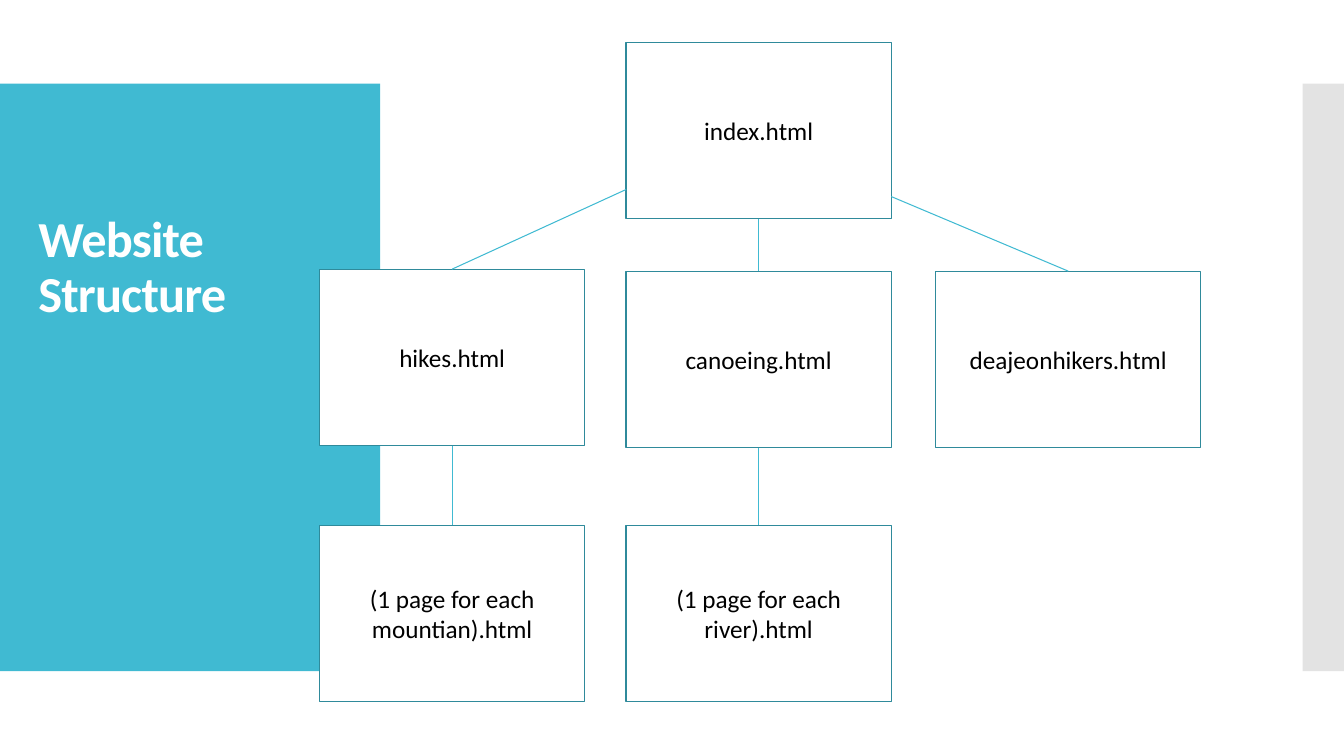
from dataclasses import dataclass

from lxml import etree
from pptx import Presentation
from pptx.dml.color import RGBColor
from pptx.enum import shapes, text
from pptx.oxml import ns
from pptx.util import Inches, Pt


@dataclass(frozen=True)
class Theme:
    font: str = "Calibri"
    accent: str = "40BAD2"
    outline: str = "2F8A9B"
    grey: str = "C8C8C8"
    white: str = "FFFFFF"
    black: str = "000000"
    title_size: float = 36
    label_size: float = 18
    outline_width: float = 0.85
    link_width: float = 0.75


THEME = Theme()
BOX_WIDTH, BOX_HEIGHT = 2.63, 1.75
TOP, BOTTOM = 0, 2
PAGES = {
    "index": ("index.html", 6.21, 0.42),
    "canoeing": ("canoeing.html", 6.21, 2.69),
    "hikes": ("hikes.html", 3.17, 2.67),
    "hikers": ("deajeonhikers.html", 9.28, 2.69),
    "mountain": ("(1 page for each mountian).html", 3.17, 5.21),
    "river": ("(1 page for each river).html", 6.21, 5.21),
}
VERTICAL_LINKS = [("index", "canoeing"), ("hikes", "mountain"), ("canoeing", "river")]
SIDE_LINKS = [("hikes", 6.21, 1.88), ("hikers", 8.84, 1.95)]


def apply(target, values):
    for name, value in values.items():
        setattr(target, name, value)


def format_font(font, size, color, bold=False):
    apply(font, {"name": THEME.font, "size": Pt(size), "bold": bold})
    font.color.rgb = RGBColor.from_string(color)


def add_rectangle(slide, left, top, width, height, fill):
    shape = slide.shapes.add_shape(
        shapes.MSO_SHAPE.RECTANGLE, Inches(left), Inches(top), Inches(width), Inches(height)
    )
    shape.shadow.inherit = False
    shape.fill.solid()
    shape.fill.fore_color.rgb = RGBColor.from_string(fill)
    shape.line.fill.background()
    return shape


def set_opacity(shape, percent):
    color = shape.element.spPr.find(ns.qn("a:solidFill")).find(ns.qn("a:srgbClr"))
    etree.SubElement(color, ns.qn("a:alpha")).set("val", str(percent * 1000))


def add_page(slide, label, left, top):
    box = add_rectangle(slide, left, top, BOX_WIDTH, BOX_HEIGHT, THEME.white)
    box.line.color.rgb = RGBColor.from_string(THEME.outline)
    box.line.width = Pt(THEME.outline_width)
    apply(box.text_frame, {"word_wrap": True, "vertical_anchor": text.MSO_ANCHOR.MIDDLE})
    paragraph = box.text_frame.paragraphs[0]
    apply(paragraph, {"text": label, "alignment": text.PP_ALIGN.CENTER})
    format_font(paragraph.runs[0].font, THEME.label_size, THEME.black)
    return box


def add_link(slide, child, left=0, top=0, parent=None):
    link = slide.shapes.add_connector(
        shapes.MSO_CONNECTOR.STRAIGHT, Inches(left), Inches(top), Inches(left), Inches(top)
    )
    if parent is not None:
        link.begin_connect(parent, BOTTOM)
    link.end_connect(child, TOP)
    link.line.color.rgb = RGBColor.from_string(THEME.accent)
    link.line.width = Pt(THEME.link_width)
    etree.SubElement(link.element.spPr, ns.qn("a:effectLst"))


def set_title(slide, label):
    title = slide.shapes.title
    apply(title, {"left": Inches(0.28), "top": Inches(1.23),
                  "width": Inches(3.22), "height": Inches(2.87)})
    apply(title.text_frame, {"word_wrap": True, "auto_size": text.MSO_AUTO_SIZE.NONE,
                             "vertical_anchor": text.MSO_ANCHOR.MIDDLE})
    paragraph = title.text_frame.paragraphs[0]
    apply(paragraph, {"text": label, "alignment": text.PP_ALIGN.LEFT, "line_spacing": 0.9})
    run = paragraph.runs[0]
    format_font(run.font, THEME.title_size, THEME.white, bold=True)
    run.font._element.set("spc", "-60")
    return title


def main():
    presentation = Presentation()
    apply(presentation, {"slide_width": Inches(13.33), "slide_height": Inches(7.5)})
    slide = presentation.slides.add_slide(presentation.slide_layouts.get_by_name("Title Only"))

    title = set_title(slide, "Website Structure")
    title_band = add_rectangle(slide, 0, 0.83, 3.77, 5.83, THEME.accent)
    edge_band = add_rectangle(slide, 12.92, 0.83, 0.41, 5.83, THEME.grey)
    set_opacity(edge_band, 50)
    for band in (title_band, edge_band):
        title.element.addprevious(band.element)

    boxes = {name: add_page(slide, *page) for name, page in PAGES.items()}
    for parent, child in VERTICAL_LINKS:
        add_link(slide, boxes[child], parent=boxes[parent])
    for child, left, top in SIDE_LINKS:
        add_link(slide, boxes[child], left, top)

    presentation.save("out.pptx")


main()
